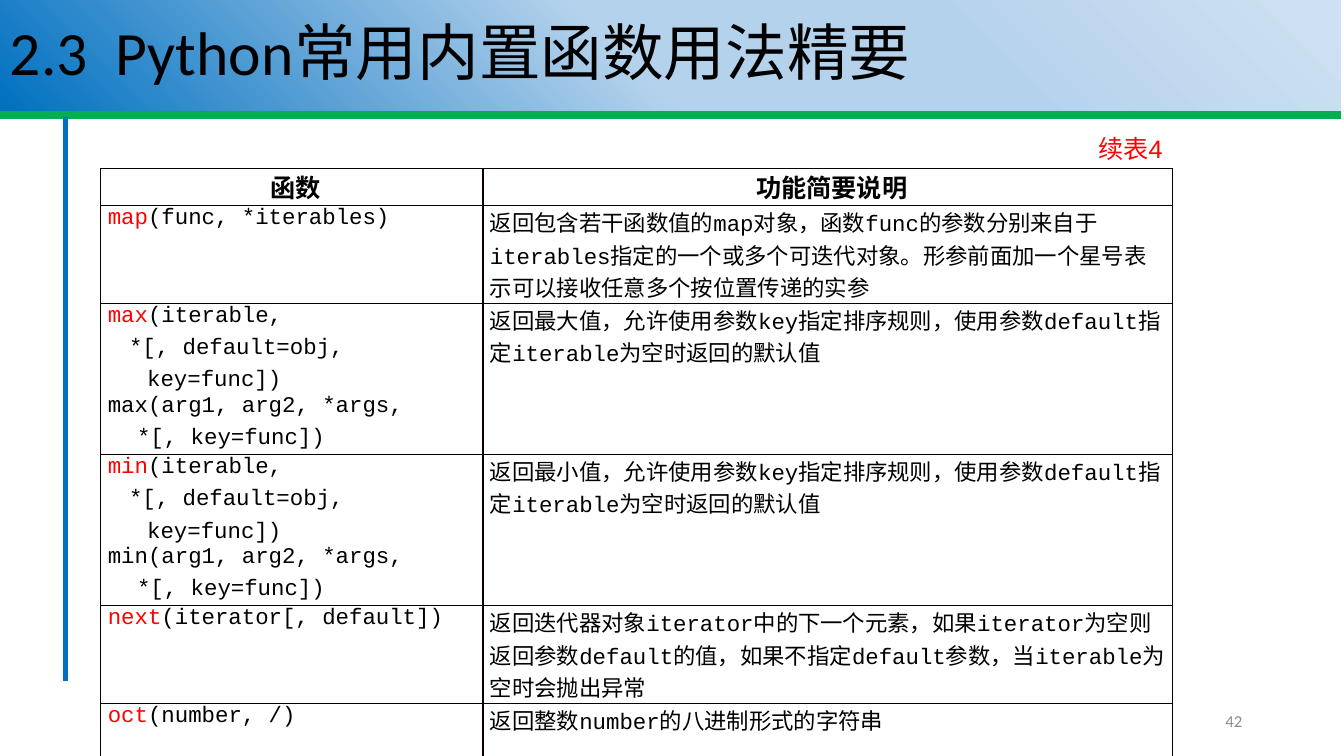
from lxml import etree
from pptx import Presentation
from pptx.dml.color import RGBColor
from pptx.enum.shapes import MSO_CONNECTOR, MSO_SHAPE
from pptx.enum.text import MSO_ANCHOR, PP_ALIGN
from pptx.oxml import parse_xml
from pptx.oxml.ns import nsdecls, qn
from pptx.util import Inches, Pt

BLACK = RGBColor(0, 0, 0)
RED = RGBColor(0xFF, 0, 0)
GREEN = RGBColor(0, 0xB0, 0x50)
BLUE = RGBColor(0, 0x70, 0xC0)
PALE = RGBColor(0xCE, 0xE1, 0xF2)
SKY = RGBColor(0xB5, 0xD2, 0xEC)
GREY = RGBColor(0x8C, 0x8C, 0x8C)
BORDER = RGBColor(0x08, 0, 0)
CJK, CODE = "Noto Sans CJK SC", "Courier New"
HANGS = (0, 0.21, 0.39, 0, 0.29)


def extreme_rows(name, word):
    """Return the signature and description shared by max and min."""
    signature = [name + "(iterable,", "*[, default=obj,", "key=func])",
                 name + "(arg1, arg2, *args,", "*[, key=func])"]
    return (name, signature, f"返回最{word}值，允许使用参数key指定排序规则，"
            "使用参数default指定iterable为空时返回的默认值")


FUNCTIONS = [
    ("map", ["map(func, *iterables)"],
     "返回包含若干函数值的map对象，函数func的参数分别来自于iterables指定的一个或多个"
     "可迭代对象。形参前面加一个星号表示可以接收任意多个按位置传递的实参"),
    extreme_rows("max", "大"),
    extreme_rows("min", "小"),
    ("next", ["next(iterator[, default])"],
     "返回迭代器对象iterator中的下一个元素，如果iterator为空则返回参数default的值，"
     "如果不指定default参数，当iterable为空时会抛出异常"),
    ("oct", ["oct(number, /)"], "返回整数number的八进制形式的字符串"),
]


def add_run(paragraph, text, size, font, color=BLACK, bold=False):
    """Append a styled run with matching East Asian font."""
    run = paragraph.add_run()
    run.text = text
    run.font.size, run.font.name, run.font.bold = Pt(size), font, bold
    run.font.color.rgb = color
    east = etree.SubElement(run.font._element, qn("a:ea"))
    east.set("typeface", CJK)


def add_rule(slide, start, end, color, width):
    """Draw a straight rule without a shadow."""
    rule = slide.shapes.add_connector(
        MSO_CONNECTOR.STRAIGHT, *map(Inches, (*start, *end)))
    rule.line.color.rgb, rule.line.width = color, Pt(width)
    etree.SubElement(rule._element.spPr, qn("a:effectLst"))


def add_label(slide, box, text, size, font, color):
    """Place a right-aligned single-line label."""
    frame = slide.shapes.add_textbox(*map(Inches, box)).text_frame
    frame.word_wrap = True
    frame.vertical_anchor = MSO_ANCHOR.MIDDLE
    frame.paragraphs[0].alignment = PP_ALIGN.RIGHT
    add_run(frame.paragraphs[0], text, size, font, color)


def add_title(slide, box, text):
    """Draw the gradient title band and its heading."""
    band = slide.shapes.add_shape(MSO_SHAPE.RECTANGLE, *map(Inches, box))
    band.shadow.inherit = False
    band.line.fill.background()
    stops = "".join(
        f'<a:gs pos="{percent * 1000}"><a:srgbClr val="{color}"/></a:gs>'
        for percent, color in ((1, PALE), (29, SKY), (53, SKY), (100, BLUE)))
    gradient = parse_xml(f'<a:gradFill {nsdecls("a")} rotWithShape="1"><a:gsLst>{stops}'
                         '</a:gsLst><a:lin ang="8100000" scaled="0"/></a:gradFill>')
    band._element.spPr.find(qn("a:prstGeom")).addnext(gradient)
    frame = band.text_frame
    frame.word_wrap = True
    frame.vertical_anchor = MSO_ANCHOR.MIDDLE
    heading = frame.paragraphs[0]
    heading.alignment, heading.line_spacing = PP_ALIGN.LEFT, 0.9
    add_run(heading, text, 44, "Calibri")


def style_cell(cell, left, right, last):
    """Set margins, clear the fill and draw the borders."""
    cell.margin_left, cell.margin_right = Inches(left), Inches(right)
    cell.margin_top = cell.margin_bottom = 0
    cell.fill.background()
    properties = cell._tc.get_or_add_tcPr()
    for index, side in enumerate("LRTB"):
        outer = last and side == "R"
        color, width = (BLACK, 0.75) if outer else (BORDER, 1)
        properties.insert(index, parse_xml(
            f'<a:ln{side} {nsdecls("a")} w="{Pt(width)}"><a:solidFill>'
            f'<a:srgbClr val="{color}"/></a:solidFill></a:ln{side}>'))


def fill_signature(frame, name, lines):
    """Write a signature with its name in red and continuation lines indented."""
    for index, (line, hang) in enumerate(zip(lines, HANGS)):
        paragraph = frame.paragraphs[0] if index == 0 else frame.add_paragraph()
        if hang:
            paragraph._p.get_or_add_pPr().set("marL", str(Inches(hang)))
            paragraph.line_spacing = Pt(23.2)
        if index == 0:
            add_run(paragraph, name, 16, CODE, RED)
            line = line[len(name):]
        add_run(paragraph, line, 16, CODE)


def add_function_table(slide, box, widths, heights):
    """Build the table of built-in functions."""
    table = slide.shapes.add_table(
        len(heights), len(widths), *map(Inches, box)).table
    table.first_row = table.horz_banding = False
    for column, width in zip(table.columns, widths):
        column.width = Inches(width)
    for row, height in zip(table.rows, heights):
        row.height = Inches(height)
    for index, heading in enumerate(("函数", "功能简要说明")):
        cell = table.cell(0, index)
        style_cell(cell, 0.08, 0, index == 1)
        paragraph = cell.text_frame.paragraphs[0]
        paragraph.alignment = PP_ALIGN.CENTER
        add_run(paragraph, heading, 18, CJK, bold=True)
    for index, (name, signature, description) in enumerate(FUNCTIONS, 1):
        usage, meaning = table.cell(index, 0), table.cell(index, 1)
        style_cell(usage, 0.07, 0.07, False)
        style_cell(meaning, 0.07, 0.07, True)
        fill_signature(usage.text_frame, name, signature)
        add_run(meaning.text_frame.paragraphs[0], description, 16, CODE)


def build_slide(presentation):
    """Assemble the slide on the blank layout."""
    slide = presentation.slides.add_slide(presentation.slide_layouts[6])
    add_rule(slide, (0, 1.14), (13.3, 1.14), GREEN, 5.25)
    add_rule(slide, (0.65, 1.16), (0.65, 6.76), BLUE, 3.75)
    add_title(slide, (0, 0, 13.3, 1.1), "2.3  Python常用内置函数用法精要")
    add_label(slide, (9.42, 6.95, 3, 0.4), "42", 12, "Calibri", GREY)
    add_function_table(slide, (1, 1.67, 10.63, 5.83), (3.79, 6.84),
                       (0.37, 0.97, 1.47, 1.47, 0.97, 0.58))
    add_label(slide, (10.19, 1.27, 1.44, 0.4), "续表4", 18, "Arial", RED)


presentation = Presentation()
presentation.slide_width, presentation.slide_height = Inches(13.33), Inches(7.5)
build_slide(presentation)
presentation.save("out.pptx")
